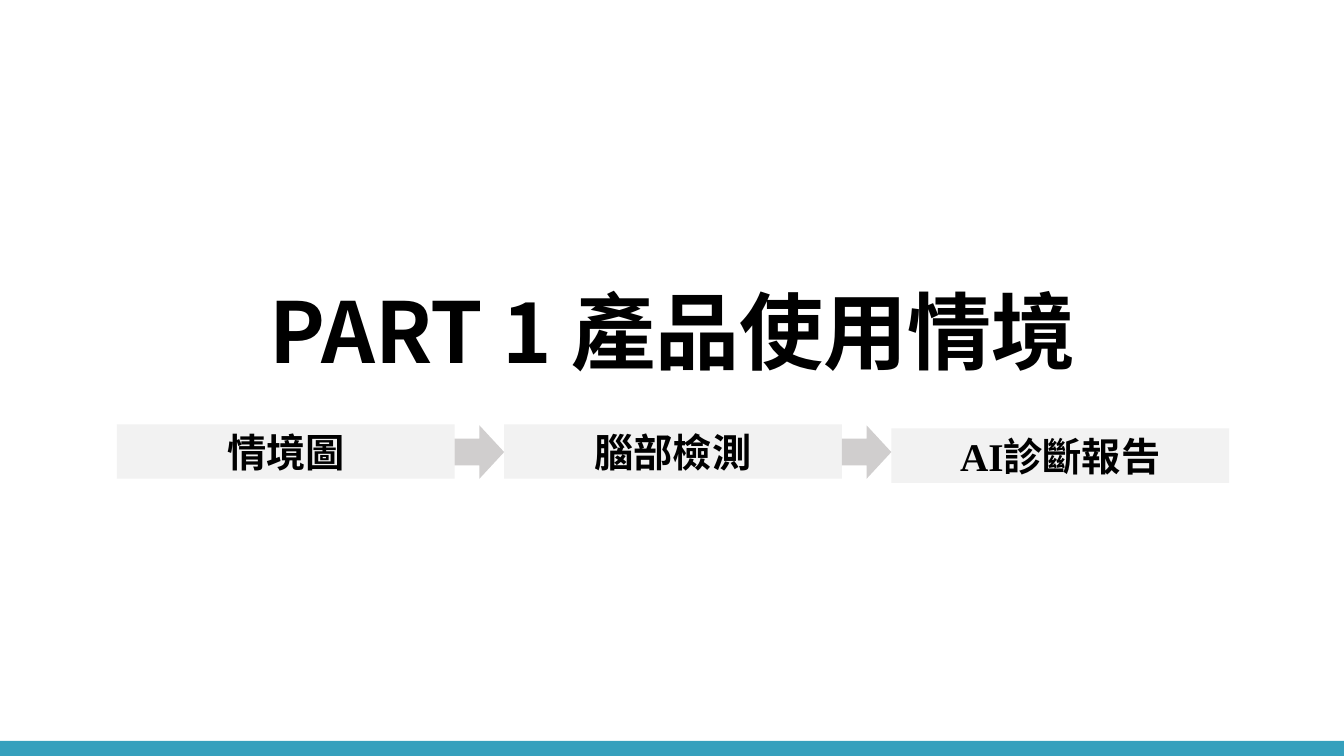
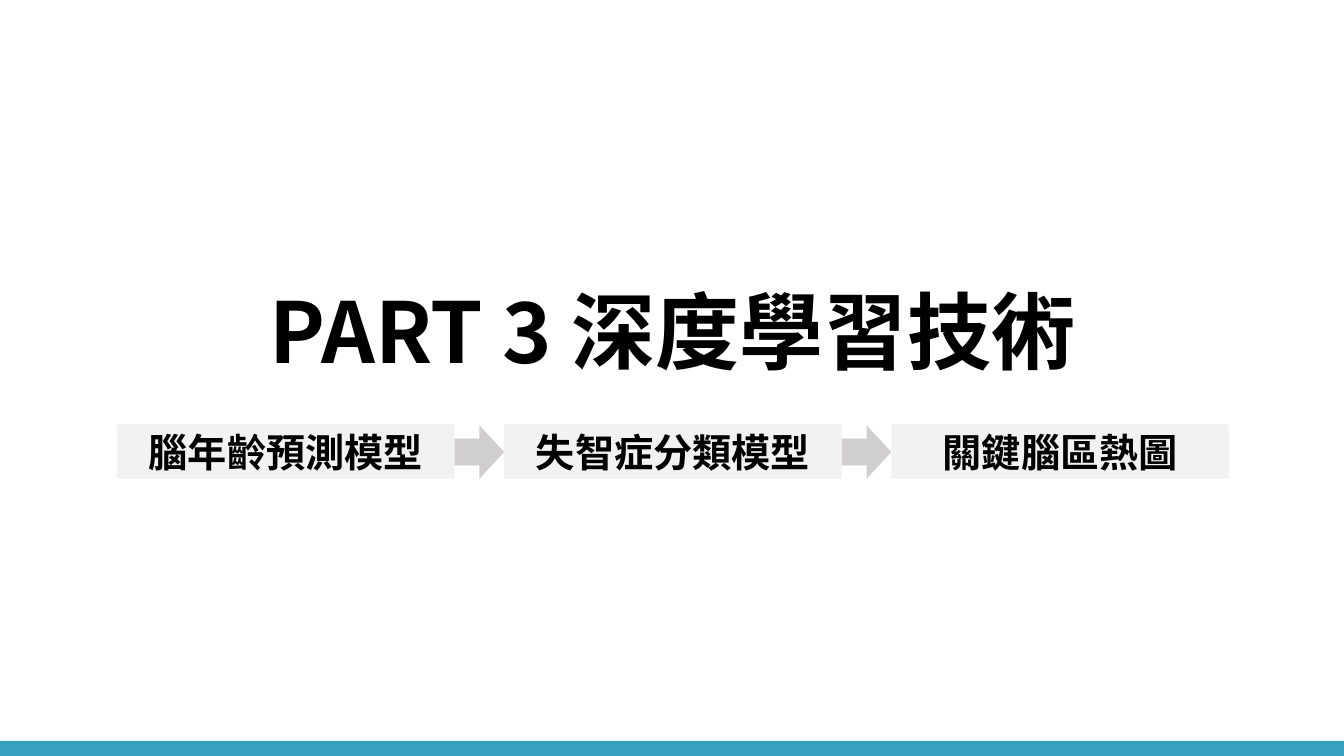
import dataclasses

import lxml.etree
import pptx
import pptx.dml.color
import pptx.enum.shapes
import pptx.enum.text
import pptx.oxml.ns
import pptx.presentation
import pptx.shapes.autoshape
import pptx.slide
import pptx.text.text
import pptx.util

Inches = pptx.util.Inches
Shapes = pptx.enum.shapes.MSO_SHAPE

SLIDE_WIDTH = 13.33
SLIDE_HEIGHT = 7.5
BAND_HEIGHT = 0.15
STEP_LEFT = 1.16
STEP_TOP = 4.21
STEP_WIDTH = 3.35
STEP_HEIGHT = 0.54
ARROW_TOP = 4.22
ARROW_WIDTH = 0.49
ARROW_HEIGHT = 0.53

WHITE = "FFFFFF"
BLACK = "000000"
TEAL = "35A0BD"
STEP_GREY = "F2F2F2"
ARROW_GREY = "D0CECE"
CHINESE_FONT = "Noto Sans CJK SC"
STEP_FONT = "Times New Roman"


@dataclasses.dataclass(frozen=True)
class Step:
    label: str
    drop: float = 0


@dataclasses.dataclass(frozen=True)
class Section:
    title: str
    steps: tuple[Step, ...]


SECTIONS = (
    Section(
        "PART 1 產品使用情境",
        (Step("情境圖"), Step("腦部檢測"), Step("AI診斷報告", drop=0.04)),
    ),
    Section(
        "PART 3 深度學習技術",
        (Step("腦年齡預測模型"), Step("失智症分類模型"), Step("關鍵腦區熱圖")),
    ),
)


def color(value: str) -> pptx.dml.color.RGBColor:
    return pptx.dml.color.RGBColor.from_string(value)


def write_text(
    text_frame: pptx.text.text.TextFrame, text: str, size: int, font_name: str
) -> None:
    text_frame.text = text
    paragraph = text_frame.paragraphs[0]
    paragraph.alignment = pptx.enum.text.PP_ALIGN.CENTER
    font = paragraph.font
    font.size = pptx.util.Pt(size)
    font.bold = True
    font.name = font_name
    font.color.rgb = color(BLACK)
    properties = paragraph._p.pPr.find(pptx.oxml.ns.qn("a:defRPr"))
    east_asian = lxml.etree.SubElement(properties, pptx.oxml.ns.qn("a:ea"))
    east_asian.set("typeface", CHINESE_FONT)


def add_filled_shape(
    slide: pptx.slide.Slide,
    kind: Shapes,
    left: float,
    top: float,
    width: float,
    height: float,
    fill: str,
) -> pptx.shapes.autoshape.Shape:
    shape = slide.shapes.add_shape(
        kind, Inches(left), Inches(top), Inches(width), Inches(height)
    )
    shape.shadow.inherit = False
    shape.fill.solid()
    shape.fill.fore_color.rgb = color(fill)
    shape.line.fill.background()
    return shape


def add_master_band(
    presentation: pptx.presentation.Presentation, slide: pptx.slide.Slide
) -> None:
    band = add_filled_shape(
        slide, Shapes.RECTANGLE, 0, SLIDE_HEIGHT - BAND_HEIGHT,
        SLIDE_WIDTH, BAND_HEIGHT, TEAL,
    )
    presentation.slide_master.shapes._spTree.append(band._element)


def set_title(slide: pptx.slide.Slide, text: str) -> None:
    title = slide.shapes.title
    title.left, title.top = Inches(1.67), Inches(1.23)
    title.width, title.height = Inches(10), Inches(2.61)
    text_frame = title.text_frame
    text_frame.auto_size = pptx.enum.text.MSO_AUTO_SIZE.NONE
    text_frame.vertical_anchor = pptx.enum.text.MSO_ANCHOR.BOTTOM
    write_text(text_frame, text, 60, CHINESE_FONT)
    text_frame.paragraphs[0].line_spacing = 0.9


def add_steps(slide: pptx.slide.Slide, steps: tuple[Step, ...]) -> None:
    for index, step in enumerate(steps):
        left = STEP_LEFT + index * (STEP_WIDTH + ARROW_WIDTH)
        box = add_filled_shape(
            slide, Shapes.RECTANGLE, left, STEP_TOP + step.drop,
            STEP_WIDTH, STEP_HEIGHT, STEP_GREY,
        )
        box.text_frame.vertical_anchor = pptx.enum.text.MSO_ANCHOR.MIDDLE
        write_text(box.text_frame, step.label, 28, STEP_FONT)
        if index:
            add_filled_shape(
                slide, Shapes.RIGHT_ARROW, left - ARROW_WIDTH, ARROW_TOP,
                ARROW_WIDTH, ARROW_HEIGHT, ARROW_GREY,
            )


def add_section(
    presentation: pptx.presentation.Presentation, section: Section
) -> pptx.slide.Slide:
    slide = presentation.slides.add_slide(presentation.slide_layouts[0])
    subtitle = slide.placeholders[1]._element
    subtitle.getparent().remove(subtitle)
    set_title(slide, section.title)
    add_steps(slide, section.steps)
    return slide


def main() -> None:
    presentation = pptx.Presentation()
    presentation.slide_width = Inches(SLIDE_WIDTH)
    presentation.slide_height = Inches(SLIDE_HEIGHT)
    background = presentation.slide_master.background.fill
    background.solid()
    background.fore_color.rgb = color(WHITE)
    slides = [add_section(presentation, section) for section in SECTIONS]
    add_master_band(presentation, slides[0])
    presentation.save("out.pptx")


if __name__ == "__main__":
    main()
